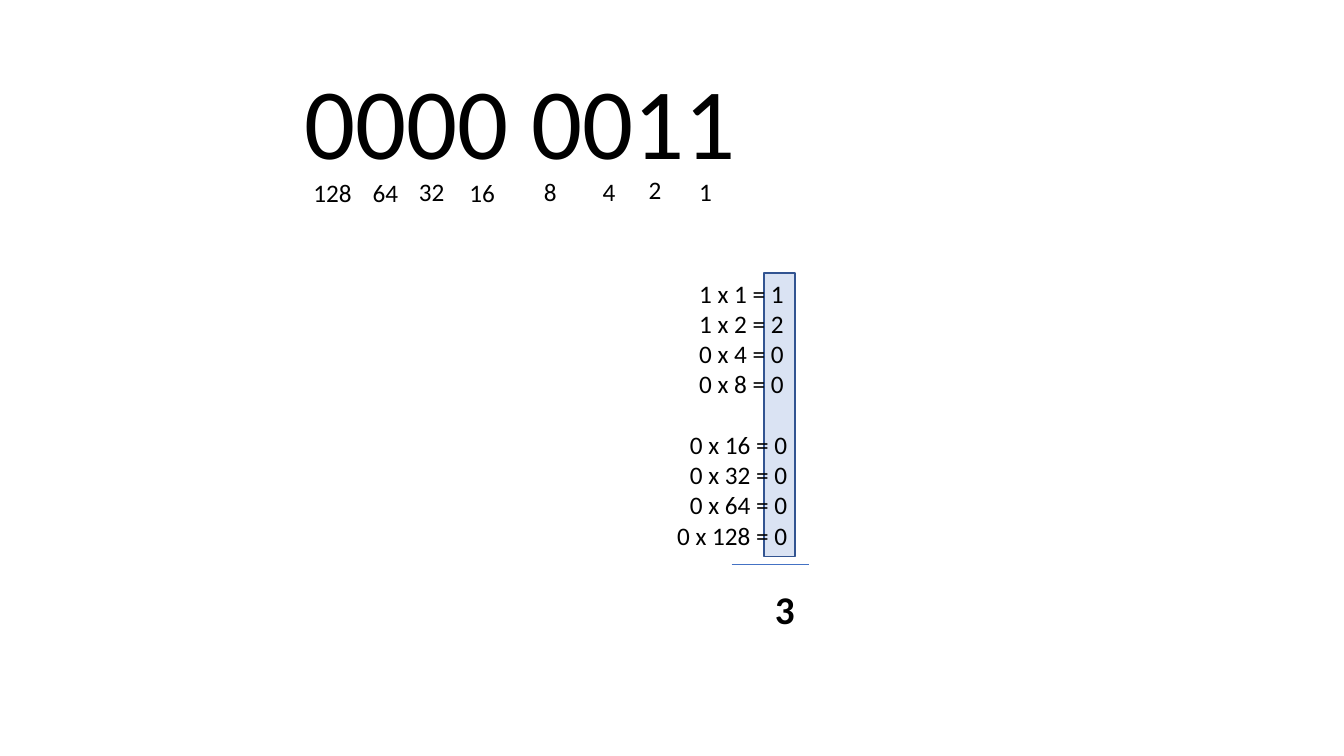
from pptx import Presentation
from pptx import util as u
from pptx.dml.color import RGBColor
from pptx.enum import shapes, text
from pptx.oxml.ns import qn
from lxml import etree

BLACK = RGBColor(0x00, 0x00, 0x00)
PALE = RGBColor(0xDA, 0xE3, 0xF3)
NAVY = RGBColor(0x32, 0x54, 0x91)
BLUE = RGBColor(0x44, 0x72, 0xC4)
LEFT, RIGHT = text.PP_ALIGN.LEFT, text.PP_ALIGN.RIGHT

BITS = "0000 0011"
# Place value: offset from the left and top of the number, in cm
PLACES = {128: (0.23, 2.64), 64: (1.72, 2.64), 32: (2.89, 2.62),
          16: (4.16, 2.64), 8: (6.04, 2.62), 4: (7.52, 2.62),
          2: (8.68, 2.57), 1: (9.95, 2.62)}
WIDTHS = {1: 0.84, 2: 1.17, 3: 1.5}  # box width by digit count


def write(slide, box, lines, size, align=LEFT, spacing=1.0, bold=False):
    frame = slide.shapes.add_textbox(*map(u.Cm, box)).text_frame
    frame.word_wrap = False
    frame.text = "\n".join(lines)
    look = {"name": "Calibri", "size": u.Pt(size), "bold": bold}
    for para in frame.paragraphs:
        para.alignment = align
        para.line_spacing = spacing
        for key, value in look.items():
            setattr(para.font, key, value)
        para.font.color.rgb = BLACK


def number(slide, box):
    left, top, wide, high = box
    # Binary digits
    write(slide, box, [BITS], 72, spacing=0.9)
    # Place values under the digits
    for place, (x, y) in PLACES.items():
        label = str(place)
        write(slide, (left + x, top + y, WIDTHS[len(label)], 1.02), [label], 18)


def total(slide, box):
    left, top, wide, high = box
    # Band behind the results
    band = slide.shapes.add_shape(
        shapes.MSO_SHAPE.RECTANGLE,
        *map(u.Cm, (left + 2.49, top, 0.79, 7.14)))
    band.shadow.inherit = False
    band.fill.solid()
    band.fill.fore_color.rgb = PALE
    band.line.color.rgb = NAVY
    band.line.width = u.Pt(1)

    # Products, lowest bit first, four to a group
    digits = reversed(BITS.replace(" ", ""))
    sums = [f"{bit} x {2 ** n} = {int(bit) * 2 ** n}"
            for n, bit in enumerate(digits)]
    write(slide, (left + 0.61, top, 2.67, 3.33), sums[:4], 18)
    write(slide, (left, top + 3.81, 3.33, 3.33), sums[4:], 18, RIGHT)

    # Rule and sum
    y = top + 7.34
    rule = slide.shapes.add_connector(
        shapes.MSO_CONNECTOR.STRAIGHT,
        *map(u.Cm, (left + 1.68, y, left + wide, y)))
    rule.line.color.rgb = BLUE
    rule.line.width = u.Pt(0.5)
    etree.SubElement(rule.element.spPr, qn("a:effectLst"))
    answer = str(int(BITS.replace(" ", ""), 2))
    write(slide, (left + 2.52, top + high - 1.45, 1.02, 1.45), [answer], 28,
          bold=True)


def main():
    deck = Presentation()
    deck.slide_width, deck.slide_height = u.Cm(33.87), u.Cm(19.05)
    slide = deck.slides.add_slide(deck.slide_layouts[6])
    number(slide, (7.42, 1.7, 13.72, 3.12))
    total(slide, (16.76, 6.88, 3.64, 9.2))
    deck.save("out.pptx")


if __name__ == "__main__":
    main()
